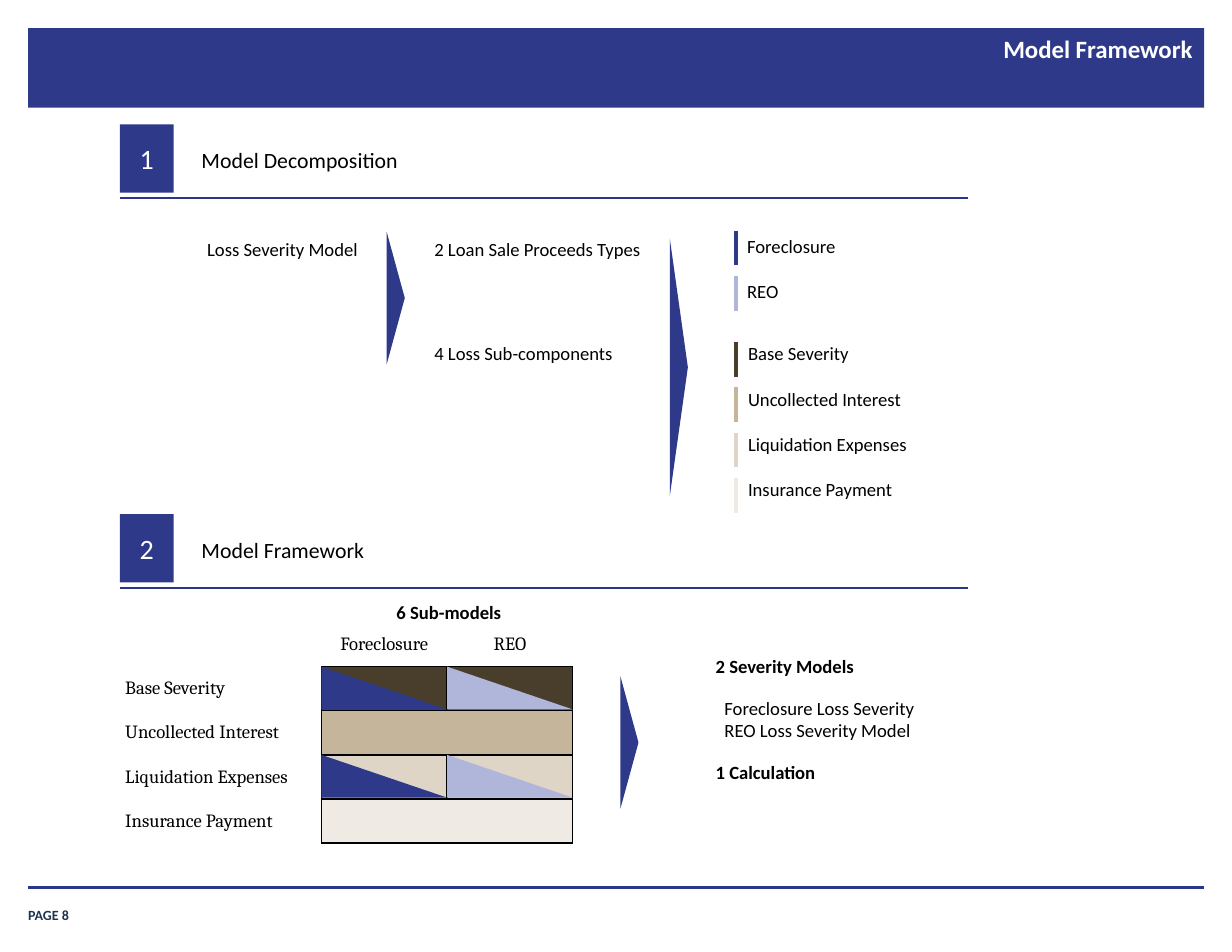
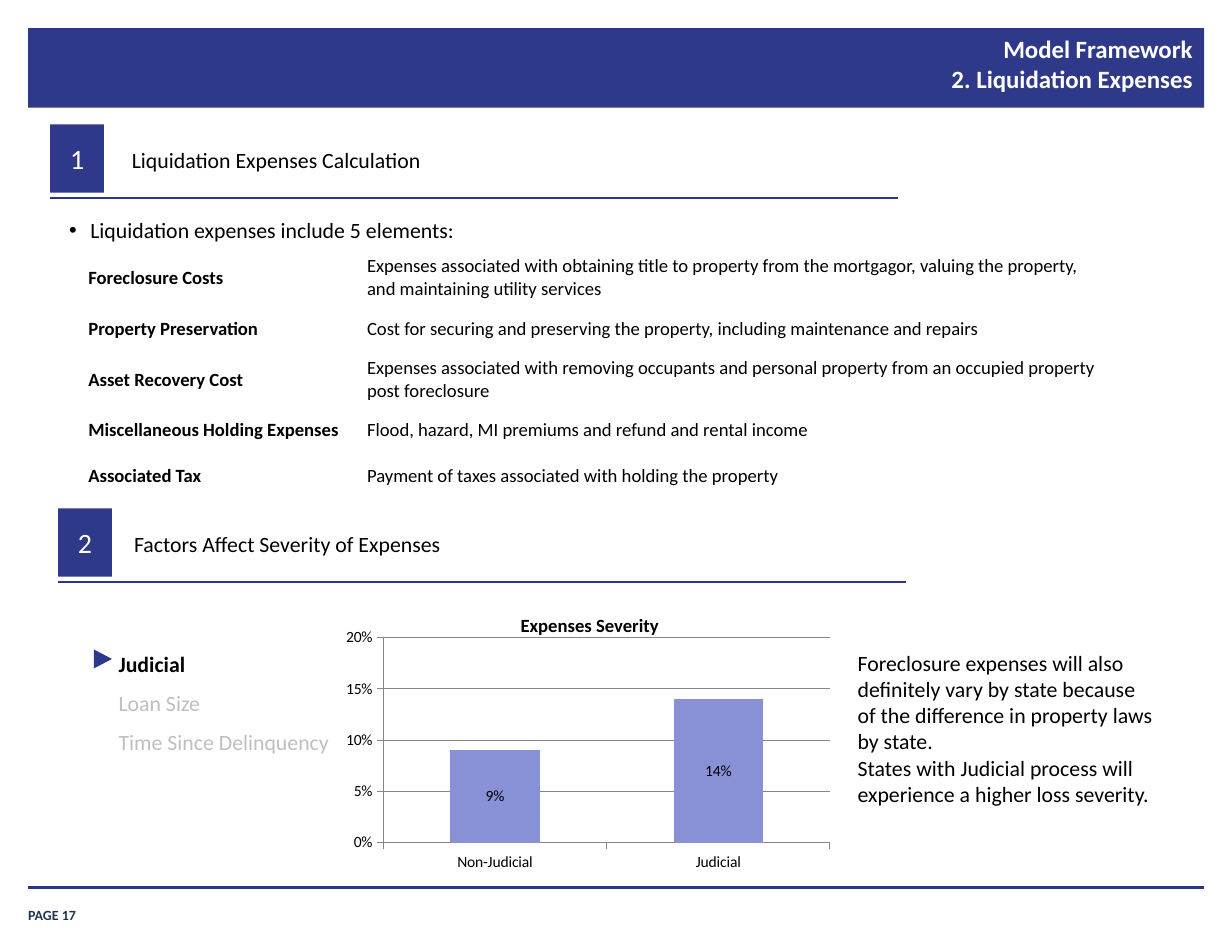
from lxml.etree import SubElement
from pptx import Presentation
from pptx.chart.data import CategoryChartData
from pptx.dml.color import RGBColor
from pptx.enum.chart import XL_CHART_TYPE, XL_LABEL_POSITION, XL_TICK_MARK
from pptx.enum.shapes import MSO_CONNECTOR, MSO_SHAPE
from pptx.enum.text import MSO_ANCHOR, PP_ALIGN
from pptx.oxml.ns import qn
from pptx.util import Cm, Pt

COLORS = {
    "navy": "2E398A", "rule": "2B3689", "page": "203353", "lilac": "B0B5DA",
    "bar": "8891D5", "brown": "493E2B", "tan": "C4B59B", "sand": "DED5C7",
    "ivory": "EFEBE4", "black": "000000", "white": "FFFFFF",
    "faded": "BFBFBF", "grid": "868686",
}
BODY_FONT = "Calibri"
MATRIX_FONT = "Cambria"
COMPONENTS = {
    "Base Severity": "brown",
    "Uncollected Interest": "tan",
    "Liquidation Expenses": "sand",
    "Insurance Payment": "ivory",
}
SALE_TYPES = {"Foreclosure": "navy", "REO": "lilac"}
EXPENSES = {
    "Foreclosure Costs": "Expenses associated with obtaining title to property from the "
    "mortgagor, valuing the property, and maintaining utility services",
    "Property Preservation": "Cost for securing and preserving the property, "
    "including maintenance and repairs",
    "Asset Recovery Cost": "Expenses associated with removing occupants and personal "
    "property from an occupied property post foreclosure",
    "Miscellaneous Holding Expenses": "Flood, hazard, MI premiums and refund and rental income",
    "Associated Tax": "Payment of taxes associated with holding the property",
}


def color(name):
    """Return the named colour."""
    return RGBColor.from_string(COLORS[name])


def style_font(font, size=12, ink="black", bold=False, face=BODY_FONT):
    """Set the look of a font."""
    font.size = Pt(size)
    font.name = face
    font.bold = bold
    font.color.rgb = color(ink)


def style_para(para, align=PP_ALIGN.LEFT, **look):
    """Align a paragraph and format its runs."""
    para.alignment = align
    for span in para.runs:
        style_font(span.font, **look)


def add_text(slide, text, left, top, width, height=0.76, spacing=None, **look):
    """Add a wrapping text box and return its frame."""
    box = slide.shapes.add_textbox(Cm(left), Cm(top), Cm(width), Cm(height))
    frame = box.text_frame
    frame.word_wrap = True
    frame.text = text
    for para in frame.paragraphs:
        style_para(para, **look)
        if spacing:
            para.line_spacing = spacing
    return frame


def set_margins(frame, side, end):
    """Set the inner margins of a text frame or cell."""
    frame.margin_left = frame.margin_right = Cm(side)
    frame.margin_top = frame.margin_bottom = Cm(end)


def add_figure(slide, kind, left, top, width, height, fill="navy"):
    """Add a plain filled preset shape."""
    shape = slide.shapes.add_shape(kind, Cm(left), Cm(top), Cm(width), Cm(height))
    shape.shadow.inherit = False
    shape.fill.solid()
    shape.fill.fore_color.rgb = color(fill)
    shape.line.fill.background()
    return shape


def add_pointer(slide, left, top, width, height):
    """Add a right-pointing triangle that fills the given area."""
    shift = (width - height) / 2
    shape = add_figure(slide, MSO_SHAPE.ISOSCELES_TRIANGLE,
                       left + shift, top - shift, height, width)
    shape.rotation = 90


def add_line(slide, left, top, right, bottom, ink="rule", weight=1):
    """Add a straight line without a shadow."""
    line = slide.shapes.add_connector(MSO_CONNECTOR.STRAIGHT,
                                      Cm(left), Cm(top), Cm(right), Cm(bottom))
    line.line.color.rgb = color(ink)
    line.line.width = Pt(weight)
    SubElement(line._element.spPr, qn("a:effectLst"))


def add_page(deck, title, number):
    """Add a slide with its title band and footer."""
    slide = deck.slides.add_slide(deck.slide_layouts[6])
    add_figure(slide, MSO_SHAPE.RECTANGLE, 0.64, 0.64, 26.67, 1.8)
    footer = add_text(slide, f"PAGE {number}", 0.64, 20.37, 2.31, 0.58,
                      size=9, ink="page", bold=True)
    footer.vertical_anchor = MSO_ANCHOR.BOTTOM
    set_margins(footer, 0, 0)
    add_line(slide, 0.64, 20.12, 27.31, 20.12, weight=2)
    heading = add_text(slide, title, 8.43, 0.61, 18.9, 1.88, align=PP_ALIGN.RIGHT,
                       size=16, ink="white", bold=True)
    set_margins(heading, 0.28, 0.15)
    return slide


def add_section(slide, number, label, left, top, label_shift=1.6):
    """Add a numbered section heading with its rule."""
    badge = add_figure(slide, MSO_SHAPE.RECTANGLE, left, top, 1.22, 1.55)
    frame = badge.text_frame
    frame.text = str(number)
    frame.vertical_anchor = MSO_ANCHOR.MIDDLE
    style_para(frame.paragraphs[0], align=PP_ALIGN.CENTER, size=18, ink="white")
    add_line(slide, left, top + 1.67, left + 19.23, top + 1.67)
    add_text(slide, label, left + label_shift, top + 0.38, 11.3, 0.86, size=14)


def add_grid(slide, left, top, widths, heights):
    """Add an unbanded table with the given column and row sizes."""
    frame = slide.shapes.add_table(len(heights), len(widths), Cm(left), Cm(top),
                                   Cm(sum(widths)), Cm(sum(heights)))
    table = frame.table
    table.first_row = table.horz_banding = False
    for column, width in zip(table.columns, widths):
        column.width = Cm(width)
    for row, height in zip(table.rows, heights):
        row.height = Cm(height)
    return table


def set_cell(cell, text="", fill=None, edges="", **look):
    """Fill a cell, draw its black edges and set its text."""
    properties = cell._tc.get_or_add_tcPr()
    for edge in edges:
        line = SubElement(properties, qn(f"a:ln{edge}"), w=str(Pt(1)))
        paint = SubElement(line, qn("a:solidFill"))
        SubElement(paint, qn("a:srgbClr"), val=COLORS["black"])
    if fill:
        cell.fill.solid()
        cell.fill.fore_color.rgb = color(fill)
    else:
        cell.fill.background()
    cell.vertical_anchor = MSO_ANCHOR.MIDDLE
    if text:
        cell.text = text
        style_para(cell.text_frame.paragraphs[0], **look)


def add_key(slide, entries, left, top, bar_shift):
    """Add a one-column list with a colour bar beside each entry."""
    step = 1.03
    table = add_grid(slide, left, top, [6.32], [step] * len(entries))
    for index, (label, ink) in enumerate(entries.items()):
        set_cell(table.cell(index, 0), label, "white")
        bar_top = top + bar_shift + index * step
        add_line(slide, 16.69, bar_top, 16.69, bar_top + 0.79, ink, 3)


def add_matrix(slide, left, top):
    """Add the table of sub-models with split cells."""
    label_width, width, height = 4.7, 2.85, 1
    table = add_grid(slide, left, top, [label_width, width, width],
                     [height] * (len(COMPONENTS) + 1))
    for cell in table.iter_cells():
        set_margins(cell, 0.25, 0.03)
    set_cell(table.cell(0, 0))
    for column, sale_type in enumerate(SALE_TYPES, 1):
        set_cell(table.cell(0, column), sale_type, edges="B",
                 align=PP_ALIGN.CENTER, face=MATRIX_FONT)
    for row, (label, fill) in enumerate(COMPONENTS.items(), 1):
        set_cell(table.cell(row, 0), label, edges="R", face=MATRIX_FONT)
        for column, ink in enumerate(SALE_TYPES.values(), 1):
            set_cell(table.cell(row, column), fill=fill, edges="LRTB")
            if row % 2:
                add_figure(slide, MSO_SHAPE.RIGHT_TRIANGLE,
                           left + label_width + (column - 1) * width,
                           top + row * height, width, height - 0.03, ink)
        if row % 2 == 0:
            table.cell(row, 1).merge(table.cell(row, 2))


def add_expense_table(slide):
    """Add the table that explains each expense element."""
    heights = [1.28, 1.03, 1.28, 1.03, 1.03]
    table = add_grid(slide, 1.75, 5.66, [6.32, 17.17], heights)
    for row, (name, meaning) in enumerate(EXPENSES.items()):
        set_cell(table.cell(row, 0), name, "white", bold=True)
        set_cell(table.cell(row, 1), meaning, "white")


def add_severity_chart(slide):
    """Add the column chart of expenses severity."""
    data = CategoryChartData(number_format="0%")
    data.categories = ["Non-Judicial", "Judicial"]
    data.add_series("Series 1", [0.09, 0.14])
    chart = slide.shapes.add_chart(XL_CHART_TYPE.COLUMN_CLUSTERED, Cm(7.62), Cm(14.15),
                                   Cm(11.43), Cm(5.72), data).chart
    style_font(chart.font, 10)
    chart.has_legend = chart.has_title = False
    values = chart.value_axis
    values.minimum_scale, values.maximum_scale, values.major_unit = 0, 0.2, 0.05
    values.tick_labels.number_format = "0%"
    values.tick_labels.number_format_is_linked = False
    values.major_gridlines.format.line.color.rgb = color("grid")
    for axis in (values, chart.category_axis):
        axis.major_tick_mark = XL_TICK_MARK.OUTSIDE
        axis.format.line.color.rgb = color("grid")
    plot = chart.plots[0]
    plot.gap_width = 150
    plot.vary_by_categories = False
    plot.has_data_labels = True
    labels = plot.data_labels
    labels.show_value = True
    labels.position = XL_LABEL_POSITION.CENTER
    labels.number_format = "0%"
    labels.number_format_is_linked = False
    style_font(labels.font, 10)
    fill = plot.series[0].format.fill
    fill.solid()
    fill.fore_color.rgb = color("bar")


def add_bullet(slide, text, left, top, width):
    """Add a single bulleted line."""
    para = add_text(slide, text, left, top, width, 1.07, spacing=1.5, size=14).paragraphs[0]
    properties = para._p.get_or_add_pPr()
    properties.set("marL", str(Cm(0.48)))
    properties.set("indent", str(-Cm(0.48)))
    SubElement(properties, qn("a:buFont"), typeface="Arial")
    SubElement(properties, qn("a:buChar"), char="•")


def build_framework(deck):
    """Build the slide on the model framework."""
    slide = add_page(deck, "Model Framework", 8)
    add_section(slide, 1, "Model Decomposition", 2.72, 2.82)
    add_text(slide, "Loss Severity Model", 4.45, 5.28, 4.72)
    add_text(slide, "2 Loan Sale Proceeds Types", 9.6, 5.26, 8.08)
    add_text(slide, "4 Loss Sub-components", 9.6, 7.62, 8.08)
    add_key(slide, SALE_TYPES, 16.69, 5.08, 0.15)
    add_key(slide, COMPONENTS, 16.71, 7.52, 0.23)
    add_pointer(slide, 8.77, 5.26, 0.41, 3)
    add_pointer(slide, 15.19, 5.41, 0.41, 5.84)

    add_section(slide, 2, "Model Framework", 2.72, 11.66)
    add_text(slide, "6 Sub-models", 7.32, 13.51, 5.72, align=PP_ALIGN.CENTER, bold=True)
    add_matrix(slide, 2.59, 14.12)
    add_pointer(slide, 14.07, 15.34, 0.41, 3)
    add_text(slide, "2 Severity Models", 15.98, 14.73, 5.72, bold=True)
    add_text(slide, "Foreclosure Loss Severity\nREO Loss Severity Model", 16.18, 15.67, 7.59, 1.27)
    add_text(slide, "1 Calculation", 15.98, 17.12, 5.72, bold=True)


def build_expenses(deck):
    """Build the slide on liquidation expenses."""
    slide = add_page(deck, "Model Framework\n2. Liquidation Expenses", 17)
    add_section(slide, 1, "Liquidation Expenses Calculation", 1.14, 2.82)
    add_bullet(slide, "Liquidation expenses include 5 elements:", 1.32, 4.5, 24.59)
    add_expense_table(slide)

    add_section(slide, 2, "Factors Affect Severity of Expenses", 1.32, 11.53, 1.47)
    factors = add_text(slide, "Judicial\nLoan Size\nTime Since Delinquency",
                       2.44, 14.33, 6.5, 2.95, spacing=1.5, size=14, ink="faded")
    style_para(factors.paragraphs[0], size=14, bold=True)
    add_pointer(slide, 2.13, 14.73, 0.41, 0.43)
    add_severity_chart(slide)
    add_text(slide, "Expenses Severity", 10.16, 13.79, 6.43, align=PP_ALIGN.CENTER, bold=True)
    add_text(slide, "Foreclosure expenses will also definitely vary by state because of the "
             "difference in property laws by state.\n"
             "States with Judicial process will experience a higher loss severity.",
             19.2, 14.61, 7.32, 3.84, size=14)


def main():
    """Build and save the deck."""
    deck = Presentation()
    deck.slide_width, deck.slide_height = Cm(27.94), Cm(21.59)
    build_framework(deck)
    build_expenses(deck)
    deck.save("out.pptx")


if __name__ == "__main__":
    main()
